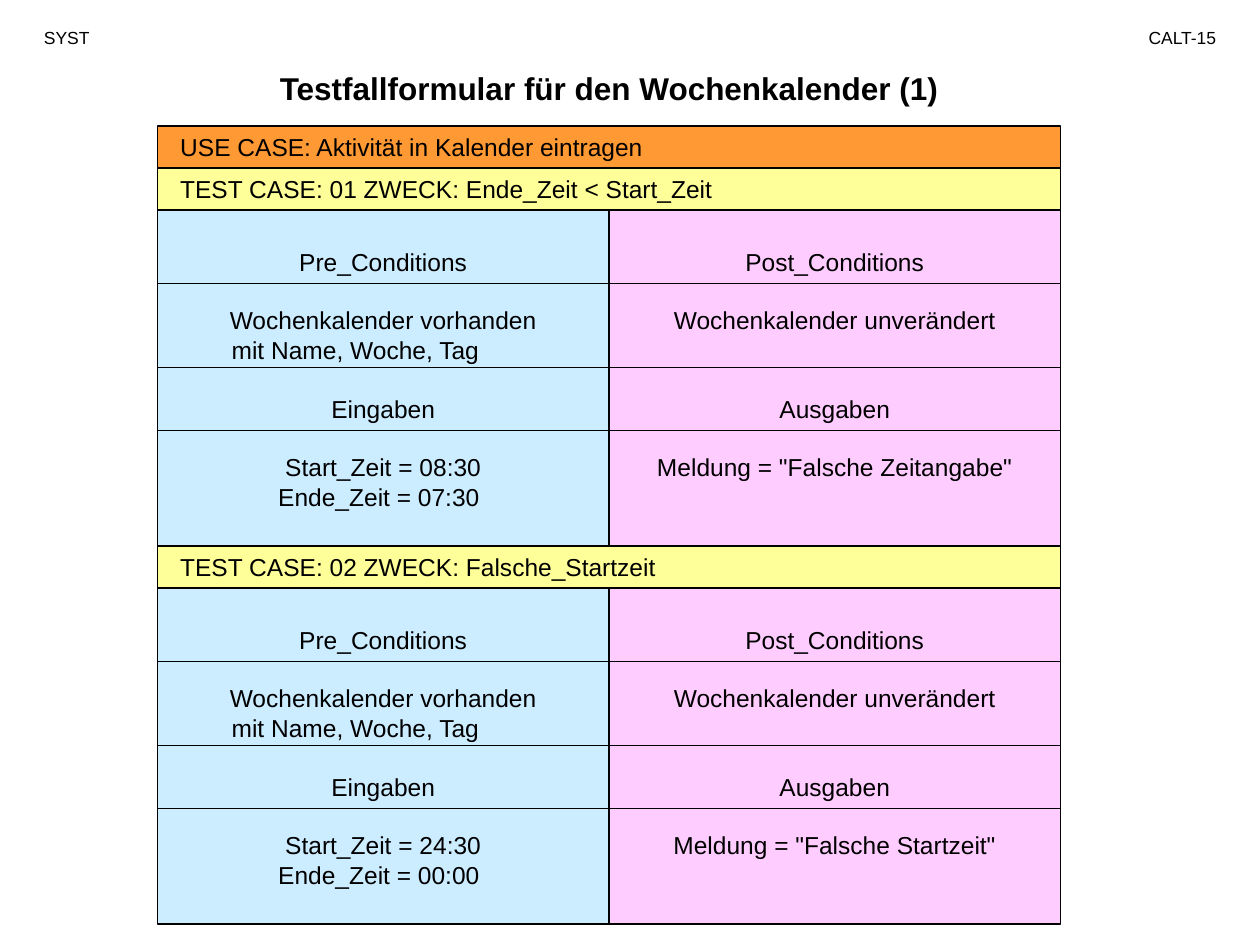
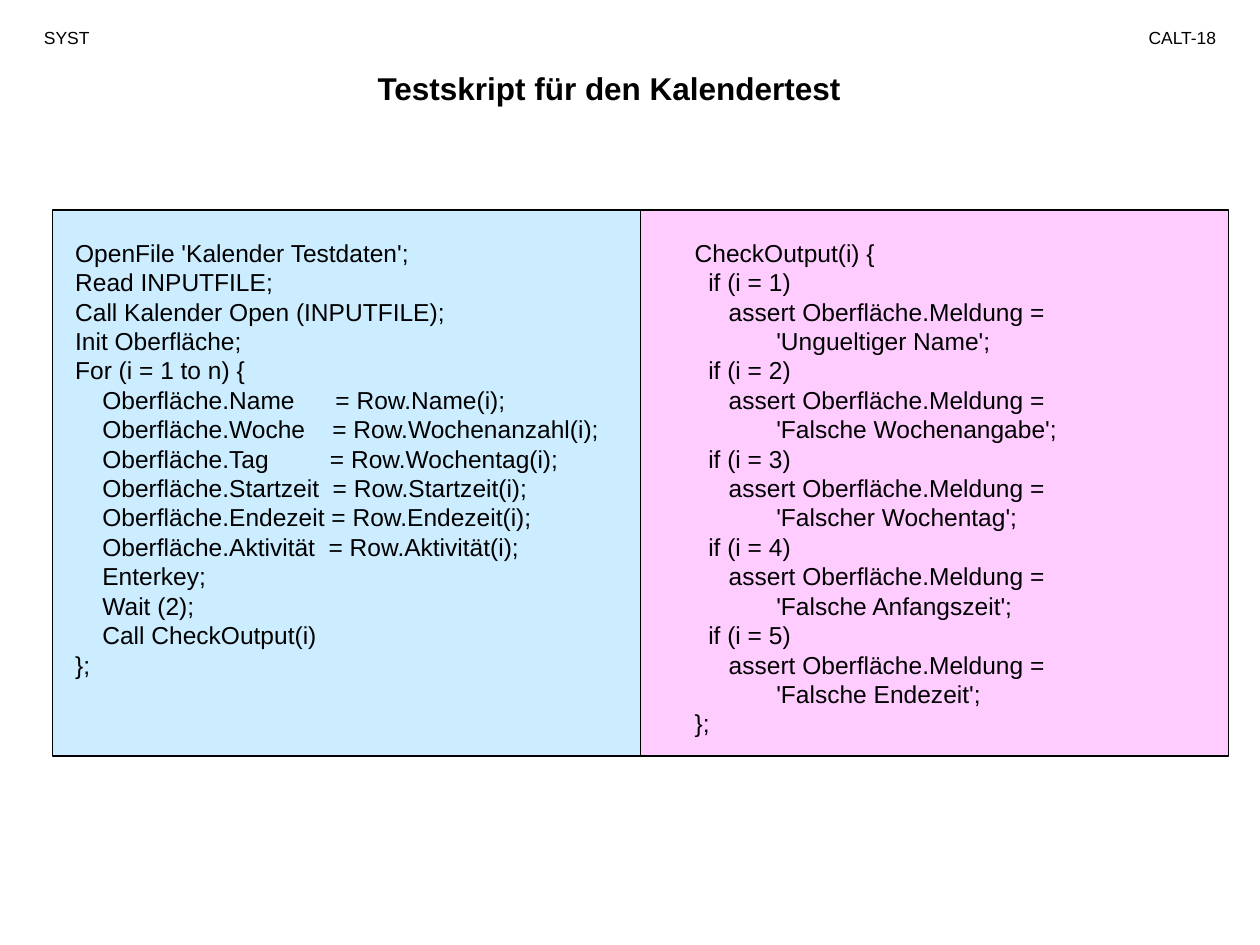
from pptx import Presentation
from pptx.dml.color import RGBColor
from pptx.enum import shapes, text
from pptx.oxml import parse_xml
from pptx.oxml.ns import nsdecls
from pptx.util import Inches, Pt

FONT = "Arial"
BLACK, ORANGE, YELLOW = "000000", "FF9933", "FFFF99"
BLUE, PINK = "CCECFF", "FFCCFF"
LEFT, CENTER, RIGHT = text.PP_ALIGN.LEFT, text.PP_ALIGN.CENTER, text.PP_ALIGN.RIGHT
TOP, MIDDLE = text.MSO_ANCHOR.TOP, text.MSO_ANCHOR.MIDDLE
BODY_SIZE, LINE_PITCH = 14, 16.8

FORM_TITLE = "Testfallformular für den Wochenkalender (1)"
USE_CASE = "USE CASE: Aktivität in Kalender eintragen"
TEST_CASES = [
    {"heading": "TEST CASE: 01 ZWECK: Ende_Zeit < Start_Zeit",
     "start": "Start_Zeit = 08:30", "end": "Ende_Zeit = 07:30",
     "output": 'Meldung = "Falsche Zeitangabe"'},
    {"heading": "TEST CASE: 02 ZWECK: Falsche_Startzeit",
     "start": "Start_Zeit = 24:30", "end": "Ende_Zeit = 00:00",
     "output": 'Meldung = "Falsche Startzeit"'},
]

SCRIPT_TITLE = "Testskript für den Kalendertest"
TEST_SCRIPT = """OpenFile 'Kalender Testdaten';
Read INPUTFILE;
Call Kalender Open (INPUTFILE);
Init Oberfläche;
For (i = 1 to n) {
    Oberfläche.Name      = Row.Name(i);
    Oberfläche.Woche    = Row.Wochenanzahl(i);
    Oberfläche.Tag         = Row.Wochentag(i);
    Oberfläche.Startzeit  = Row.Startzeit(i);
    Oberfläche.Endezeit = Row.Endezeit(i);
    Oberfläche.Aktivität  = Row.Aktivität(i);
    Enterkey;
    Wait (2);
    Call CheckOutput(i)
};"""
MESSAGES = ["Ungueltiger Name", "Falsche Wochenangabe", "Falscher Wochentag",
            "Falsche Anfangszeit", "Falsche Endezeit"]
CHECK_LINES = ["CheckOutput(i) {"]
for number, message in enumerate(MESSAGES, 1):
    CHECK_LINES += [f"  if (i = {number})",
                    "     assert Oberfläche.Meldung =",
                    f"            '{message}';"]
CHECK_LINES.append("};")

# Form geometry in inches
FORM_LEFT, FORM_TOP = 1.25, 1
BAND_HEIGHT, CASE_HEIGHT = 1 / 3, 3
COLUMN_WIDTH, COLUMN_HEIGHT = 43 / 12, CASE_HEIGHT - BAND_HEIGHT
RULE_OFFSETS = [7 / 12, 15 / 12, 21 / 12]


def color(hex_string):
    return RGBColor.from_string(hex_string)


def add_line(frame, line, size=BODY_SIZE, align=LEFT, bold=False, pitch=None, gap=0, indent=0):
    """Add a paragraph; pitch is the line height in points, gap the lines left free above."""
    first = frame.paragraphs[0]
    paragraph = frame.add_paragraph() if first.runs else first
    paragraph.alignment = align
    paragraph.space_before = Pt(gap * LINE_PITCH)
    if pitch:
        paragraph.line_spacing = Pt(pitch)
    if indent:
        paragraph._p.get_or_add_pPr().set("marL", str(Inches(indent)))
    run = paragraph.add_run()
    run.text = line
    run.font.name, run.font.size, run.font.bold = FONT, Pt(size), bold
    run.font.color.rgb = color(BLACK)


def prepare(frame, anchor):
    frame.word_wrap = True
    frame.auto_size = text.MSO_AUTO_SIZE.NONE
    frame.vertical_anchor = anchor


def add_slide(presentation, title, page):
    slide = presentation.slides.add_slide(presentation.slide_layouts[5])
    heading = slide.shapes.title
    heading.left, heading.top = Inches(0.75), Inches(0.5)
    heading.width, heading.height = Inches(8.17), Inches(0.4)
    prepare(heading.text_frame, MIDDLE)
    add_line(heading.text_frame, title, 18, CENTER, bold=True)
    for label, left, width, align in [("SYST", 0.25, 0.92, LEFT), (page, 8.67, 1.08, RIGHT)]:
        box = slide.shapes.add_textbox(Inches(left), Inches(0.16), Inches(width), Inches(0.27))
        prepare(box.text_frame, MIDDLE)
        add_line(box.text_frame, label, 10, align)
    return slide


def add_panel(slide, left, top, width, height, fill, anchor=TOP, inset=0.1, top_inset=0.0):
    """Draw an outlined rectangle and return its text frame."""
    panel = slide.shapes.add_shape(shapes.MSO_SHAPE.RECTANGLE, Inches(left), Inches(top),
                                   Inches(width), Inches(height))
    panel.shadow.inherit = False
    panel.fill.solid()
    panel.fill.fore_color.rgb = color(fill)
    panel.line.color.rgb = color(BLACK)
    panel.line.width = Pt(0.75)
    frame = panel.text_frame
    prepare(frame, anchor)
    frame.margin_left, frame.margin_right = Inches(inset), Inches(min(inset, 0.1))
    frame.margin_top, frame.margin_bottom = Inches(top_inset), Inches(0)
    return frame


def add_band(slide, top, label, fill):
    frame = add_panel(slide, FORM_LEFT, top, 2 * COLUMN_WIDTH, BAND_HEIGHT, fill,
                      MIDDLE, inset=0.18)
    add_line(frame, label, pitch=LINE_PITCH)


def add_rule(slide, top):
    rule = slide.shapes.add_connector(
        shapes.MSO_CONNECTOR.STRAIGHT, Inches(FORM_LEFT), Inches(top),
        Inches(FORM_LEFT + 2 * COLUMN_WIDTH), Inches(top))
    rule.line.color.rgb = color(BLACK)
    rule.line.width = Pt(0.75)
    rule._element.spPr.append(parse_xml(f'<a:effectLst {nsdecls("a")}/>'))


def add_test_case(slide, top, case):
    add_band(slide, top, case["heading"], YELLOW)
    # Each entry: text, free lines above, left indent (None centres the line)
    columns = [
        (BLUE, [("Pre_Conditions", 0, None),
                ("Wochenkalender vorhanden", 1, None), ("mit Name, Woche, Tag", 0, 0.49),
                ("Eingaben", 1, None),
                (case["start"], 1, None), (case["end"], 0, 0.86)]),
        (PINK, [("Post_Conditions", 0, None), ("Wochenkalender unverändert", 1, None),
                ("Ausgaben", 2, None), (case["output"], 1, None)]),
    ]
    column_top = top + BAND_HEIGHT
    for column, (fill, lines) in enumerate(columns):
        frame = add_panel(slide, FORM_LEFT + column * COLUMN_WIDTH, column_top,
                          COLUMN_WIDTH, COLUMN_HEIGHT, fill, top_inset=0.29)
        for line, gap, indent in lines:
            add_line(frame, line, align=LEFT if indent else CENTER, pitch=LINE_PITCH,
                     gap=gap, indent=indent)
    for offset in RULE_OFFSETS:
        add_rule(slide, column_top + offset)


def add_code_panel(slide, left, fill, lines, inset):
    frame = add_panel(slide, left, 5 / 3, 14 / 3, 13 / 3, fill, inset=inset, top_inset=0.22)
    for line in lines:
        add_line(frame, line, pitch=LINE_PITCH)


def main():
    presentation = Presentation()
    presentation.slide_width, presentation.slide_height = Inches(10), Inches(7.5)

    form_slide = add_slide(presentation, FORM_TITLE, "CALT-15")
    add_band(form_slide, FORM_TOP, USE_CASE, ORANGE)
    for index, case in enumerate(TEST_CASES):
        add_test_case(form_slide, FORM_TOP + BAND_HEIGHT + index * CASE_HEIGHT, case)

    script_slide = add_slide(presentation, SCRIPT_TITLE, "CALT-18")
    add_code_panel(script_slide, 61 / 12, PINK, CHECK_LINES, inset=0.43)
    add_code_panel(script_slide, 5 / 12, BLUE, TEST_SCRIPT.splitlines(), inset=0.18)

    presentation.save("out.pptx")


if __name__ == "__main__":
    main()
